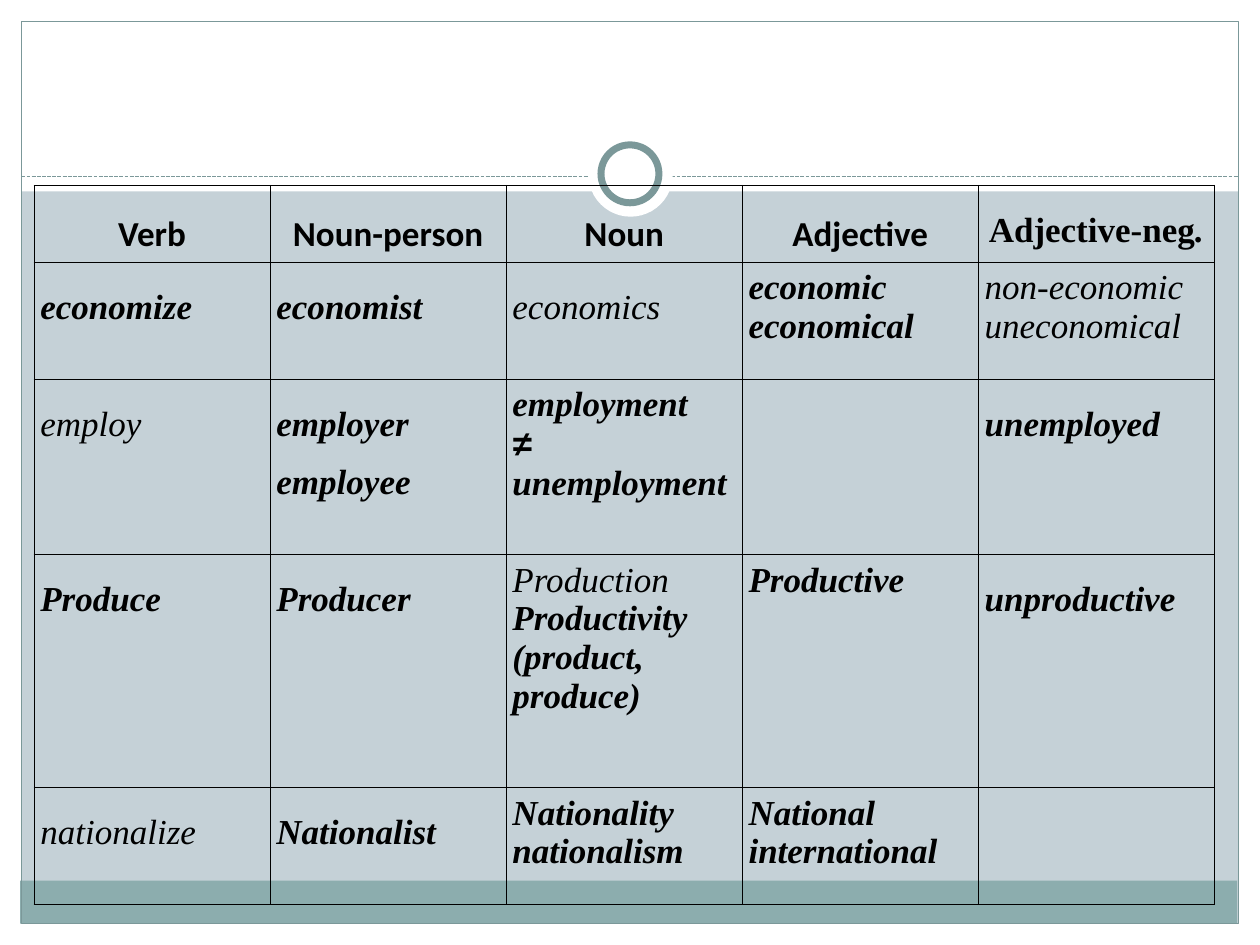
from dataclasses import dataclass
from typing import Any, Optional

from lxml import etree
from pptx import Presentation
from pptx.dml.color import RGBColor
from pptx.enum import dml, shapes, text
from pptx.oxml import ns
from pptx.util import Inches, Pt


@dataclass(frozen=True)
class Theme:
    back: str = "C5D1D7"
    white: str = "FFFFFF"
    band: str = "8CADAE"
    edge: str = "7B9899"
    ink: str = "000000"
    size: float = 20
    thin: float = 0.75
    ring: float = 4
    grid: float = 0.45
    sans: str = "Calibri"
    serif: str = "Times New Roman"
    sign: str = "Arial"


@dataclass(frozen=True)
class Block:
    box: tuple[float, float, float, float]
    fill: Optional[str] = None
    line: Optional[str] = None
    width: float = 0
    round: bool = False


@dataclass(frozen=True)
class Run:
    text: str
    bold: bool = True
    italic: bool = True
    font: str = Theme.serif


@dataclass(frozen=True)
class Entry:
    lines: tuple[tuple[Run, ...], ...] = ()
    gap: Optional[float] = None
    center: bool = False


T = Theme()


def head(*runs: Run) -> Entry:
    return Entry((runs,), 1.5, True)


def label(word: str) -> Entry:
    return head(Run(word, italic=False, font=T.sans))


def tight(*words: str, bold: bool = True) -> Entry:
    """Lines at single spacing."""
    return Entry(tuple((Run(w, bold),) for w in words))


def loose(*words: str, bold: bool = True) -> Entry:
    """Lines at one and a half spacing."""
    return Entry(tuple((Run(w, bold),) for w in words), 1.5)


BLOCKS = [
    Block((0, 7.33, 10, 0.17), T.white),
    Block((0, 0, 10, 1.52), T.white),
    Block((0, 0, 0.17, 7.5), T.white),
    Block((9.83, 0, 0.17, 7.5), T.white),
    Block((0.16, 6.99, 9.66, 0.34), T.band),
    Block((0.17, 0.17, 9.66, 7.16), None, T.edge, T.thin),
]
RINGS = [
    Block((4.67, 1.05, 0.67, 0.67), T.white, round=True),
    Block((4.77, 1.15, 0.46, 0.46), T.white, T.edge, T.ring, True),
]
HEIGHTS = [0.5, 0.93, 1.39, 1.85, 0.93]
WORDS = [
    [label("Verb"), label("Noun-person"), label("Noun"), label("Adjective"),
     head(Run("Adjective-neg", italic=False), Run("."))],
    [loose("economize"), loose("economist"), loose("economics", bold=False),
     tight("economic", "economical"),
     tight("non-economic", "uneconomical", bold=False)],
    [loose("employ", bold=False), loose("employer", "employee"),
     Entry(((Run("employment"),),
            (Run("≠", font=T.sign), Run(" unemployment")))),
     Entry(), loose("unemployed")],
    [loose("Produce"), loose("Producer"),
     Entry(((Run("Production", False),), (Run("Productivity"),),
            (Run("(product, produce)"),))),
     tight("Productive"), loose("unproductive")],
    [loose("nationalize", bold=False), loose("Nationalist"),
     tight("Nationality", "nationalism"),
     tight("National", "international"), Entry()],
]


def tint(code: str) -> RGBColor:
    return RGBColor.from_string(code)


def draw(slide: Any, block: Block) -> None:
    kind = shapes.MSO_SHAPE.OVAL if block.round else shapes.MSO_SHAPE.RECTANGLE
    shape = slide.shapes.add_shape(kind, *map(Inches, block.box))
    shape.shadow.inherit = False
    if block.fill:
        shape.fill.solid()
        shape.fill.fore_color.rgb = tint(block.fill)
    else:
        shape.fill.background()
    if block.line:
        shape.line.color.rgb = tint(block.line)
        shape.line.width = Pt(block.width)
    else:
        shape.line.fill.background()


def rule(slide: Any) -> None:
    """Dashed line below the title area."""
    line = slide.shapes.add_connector(
        shapes.MSO_CONNECTOR.STRAIGHT,
        Inches(0.17), Inches(1.4), Inches(9.83), Inches(1.4))
    line.line.color.rgb = tint(T.edge)
    line.line.width = Pt(T.thin)
    line.line.dash_style = dml.MSO_LINE.SQUARE_DOT
    etree.SubElement(line._element.spPr, ns.qn("a:effectLst"))


def border(cell: Any) -> None:
    props = cell._tc.get_or_add_tcPr()
    for spot, side in enumerate("LRTB"):
        edge = etree.Element(ns.qn(f"a:ln{side}"), w=str(int(Pt(T.grid))))
        fill = etree.SubElement(edge, ns.qn("a:solidFill"))
        etree.SubElement(fill, ns.qn("a:srgbClr"), val=T.ink)
        props.insert(spot, edge)


def write(cell: Any, entry: Entry) -> None:
    cell.fill.background()
    border(cell)
    for side in ("left", "right", "top", "bottom"):
        setattr(cell, f"margin_{side}", Inches(0.05))
    frame = cell.text_frame
    for spot, line in enumerate(entry.lines):
        para = frame.add_paragraph() if spot else frame.paragraphs[0]
        if entry.center:
            para.alignment = text.PP_ALIGN.CENTER
        if entry.gap:
            para.line_spacing = entry.gap
        for item in line:
            run = para.add_run()
            run.text = item.text
            style = {"name": item.font, "size": Pt(T.size),
                     "bold": item.bold, "italic": item.italic}
            for key, value in style.items():
                setattr(run.font, key, value)
            run.font.color.rgb = tint(T.ink)


def fill(slide: Any) -> None:
    """Table of word families."""
    box = map(Inches, (0.27, 1.47, 9.37, sum(HEIGHTS)))
    table = slide.shapes.add_table(len(WORDS), len(WORDS[0]), *box).table
    table.first_row = table.horz_banding = False
    for row, height, entries in zip(table.rows, HEIGHTS, WORDS):
        row.height = Inches(height)
        for cell, entry in zip(row.cells, entries):
            write(cell, entry)


def main() -> None:
    deck = Presentation()
    deck.slide_width, deck.slide_height = Inches(10), Inches(7.5)
    slide = deck.slides.add_slide(deck.slide_layouts[6])
    slide.background.fill.solid()
    slide.background.fill.fore_color.rgb = tint(T.back)
    for block in BLOCKS:
        draw(slide, block)
    rule(slide)
    for ring in RINGS:
        draw(slide, ring)
    fill(slide)
    deck.save("out.pptx")


if __name__ == "__main__":
    main()
